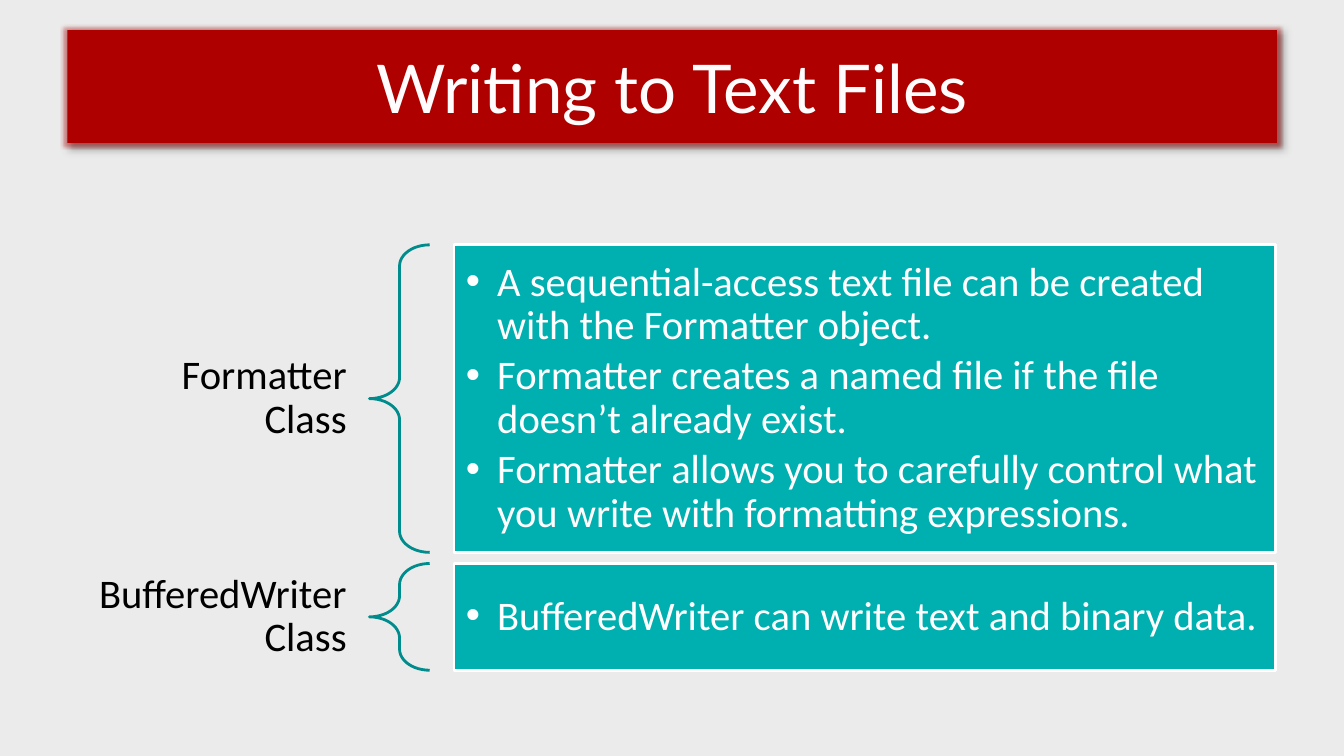
"""Build the slide on writing to text files with two braced class descriptions."""
from dataclasses import dataclass

from lxml import etree
from pptx import Presentation
from pptx.dml.color import RGBColor
from pptx.enum.shapes import MSO_SHAPE
from pptx.enum.text import MSO_ANCHOR, MSO_AUTO_SIZE, PP_ALIGN
from pptx.oxml import parse_xml
from pptx.oxml.ns import nsdecls, qn
from pptx.util import Cm, Pt

LEFT_BRACE = MSO_SHAPE.LEFT_BRACE
MIDDLE = MSO_ANCHOR.MIDDLE
NO_AUTOFIT = MSO_AUTO_SIZE.NONE
LEFT, CENTER, RIGHT = PP_ALIGN.LEFT, PP_ALIGN.CENTER, PP_ALIGN.RIGHT

BACKGROUND = RGBColor(0xEB, 0xEB, 0xEB)
TITLE_RED = RGBColor(0xAF, 0x00, 0x00)
TITLE_TEXT = RGBColor(0xFE, 0xFC, 0xFC)
BOX_TEAL = RGBColor(0x00, 0xAF, 0xAF)
BRACE_TEAL = RGBColor(0x00, 0x8C, 0x8C)
BLACK = RGBColor(0x00, 0x00, 0x00)
WHITE = RGBColor(0xFF, 0xFF, 0xFF)

TITLE_FONT, BODY_FONT = "Lato", "Calibri"
BODY_SIZE = 29
LABEL_LEFT, LABEL_WIDTH, LABEL_HEIGHT = 1.7, 7.62, 2.69
BRACE_LEFT, BRACE_WIDTH = 9.31, 1.52
LIST_LEFT, LIST_WIDTH = 11.44, 20.71
BULLET_INDENT = 0.79


@dataclass(frozen=True)
class ClassRow:
    """One class name with its facts and vertical extent in centimetres."""

    name: str
    facts: tuple[str, ...]
    top: float
    height: float


ROWS = (
    ClassRow(
        "Formatter Class",
        (
            "A sequential-access text file can be created with the Formatter object.",
            "Formatter creates a named file if the file doesn’t already exist.",
            "Formatter allows you to carefully control what you write with formatting expressions.",
        ),
        6.17,
        7.75,
    ),
    ClassRow(
        "BufferedWriter Class",
        ("BufferedWriter can write text and binary data.",),
        14.2,
        2.69,
    ),
)


def place(shape, left: float, top: float, width: float, height: float) -> None:
    """Move and size a shape in centimetres."""
    shape.left, shape.top = Cm(left), Cm(top)
    shape.width, shape.height = Cm(width), Cm(height)


def set_frame(frame, horizontal: float, vertical: float, wrap: bool = True) -> None:
    """Centre a text frame vertically and set its margins."""
    frame.auto_size = NO_AUTOFIT
    frame.word_wrap = wrap
    frame.vertical_anchor = MIDDLE
    frame.margin_left = frame.margin_right = Cm(horizontal)
    frame.margin_top = frame.margin_bottom = Cm(vertical)


def add_run(paragraph, text: str, font: str, size: float, color: RGBColor):
    """Add one formatted run to a paragraph."""
    run = paragraph.add_run()
    run.text = text
    run.font.name = font
    run.font.size = Pt(size)
    run.font.color.rgb = color
    return run


def add_title(slide) -> None:
    """Format the title as a red banner with a soft glow and shadow."""
    title = slide.shapes.title
    place(title, 1.7, 0.76, 30.48, 2.84)
    title.fill.solid()
    title.fill.fore_color.rgb = TITLE_RED
    title.line.fill.background()
    set_frame(title.text_frame, 0.25, 0.13, wrap=False)
    paragraph = title.text_frame.paragraphs[0]
    paragraph.alignment = CENTER
    run = add_run(paragraph, "Writing to Text Files", TITLE_FONT, 48, TITLE_TEXT)
    run.font._element.insert(0, parse_xml(
        f'<a:ln {nsdecls("a")} w="9525"><a:solidFill>'
        f'<a:srgbClr val="{WHITE}"/></a:solidFill></a:ln>'
    ))
    title._element.spPr.append(parse_xml(
        f'<a:effectLst {nsdecls("a")}>'
        f'<a:glow rad="63500"><a:srgbClr val="{TITLE_RED}">'
        '<a:alpha val="40000"/></a:srgbClr></a:glow>'
        '<a:outerShdw blurRad="50800" dist="38100" dir="2700000" algn="tl">'
        '<a:srgbClr val="000000"><a:alpha val="40000"/></a:srgbClr>'
        '</a:outerShdw></a:effectLst>'
    ))


def add_label(slide, row: ClassRow) -> None:
    """Add the right-aligned class name beside its brace."""
    top = row.top + (row.height - LABEL_HEIGHT) / 2
    label = slide.shapes.add_textbox(
        Cm(LABEL_LEFT), Cm(top), Cm(LABEL_WIDTH), Cm(LABEL_HEIGHT)
    )
    set_frame(label.text_frame, 0.58, 0.2)
    paragraph = label.text_frame.paragraphs[0]
    paragraph.alignment = RIGHT
    paragraph.line_spacing = 0.9
    add_run(paragraph, row.name, BODY_FONT, BODY_SIZE, BLACK)


def add_brace(slide, row: ClassRow) -> None:
    """Add the brace joining a class name to its facts."""
    brace = slide.shapes.add_shape(
        LEFT_BRACE, Cm(BRACE_LEFT), Cm(row.top), Cm(BRACE_WIDTH), Cm(row.height)
    )
    brace.shadow.inherit = False
    brace.adjustments[0] = 0.35
    brace.adjustments[1] = 0.5
    brace.fill.background()
    brace.line.color.rgb = BRACE_TEAL
    brace.line.width = Pt(2)


def fill_list(placeholder, row: ClassRow) -> None:
    """Turn a body placeholder into a teal box of bulleted facts."""
    place(placeholder, LIST_LEFT, row.top, LIST_WIDTH, row.height)
    placeholder.fill.solid()
    placeholder.fill.fore_color.rgb = BOX_TEAL
    placeholder.line.color.rgb = WHITE
    placeholder.line.width = Pt(2)
    frame = placeholder.text_frame
    set_frame(frame, 0.3, 0.3)
    for index, fact in enumerate(row.facts):
        paragraph = frame.add_paragraph() if index else frame.paragraphs[0]
        paragraph.level = 1
        paragraph.alignment = LEFT
        paragraph.line_spacing = 0.9
        paragraph.space_before = Pt(0)
        paragraph.space_after = Pt(0.15 * BODY_SIZE)
        properties = paragraph._element.get_or_add_pPr()
        properties.set("marL", str(Cm(BULLET_INDENT)))
        properties.set("indent", str(-Cm(BULLET_INDENT)))
        etree.SubElement(properties, qn("a:buChar"), char="•")
        add_run(paragraph, fact, BODY_FONT, BODY_SIZE, WHITE)


def main() -> None:
    """Create the presentation and save it."""
    presentation = Presentation()
    presentation.slide_width, presentation.slide_height = Cm(33.87), Cm(19.05)
    slide = presentation.slides.add_slide(presentation.slide_layouts[3])
    slide.background.fill.solid()
    slide.background.fill.fore_color.rgb = BACKGROUND
    add_title(slide)
    for placeholder_index, row in enumerate(ROWS, start=1):
        add_label(slide, row)
        add_brace(slide, row)
        fill_list(slide.placeholders[placeholder_index], row)
    presentation.save("out.pptx")


if __name__ == "__main__":
    main()
